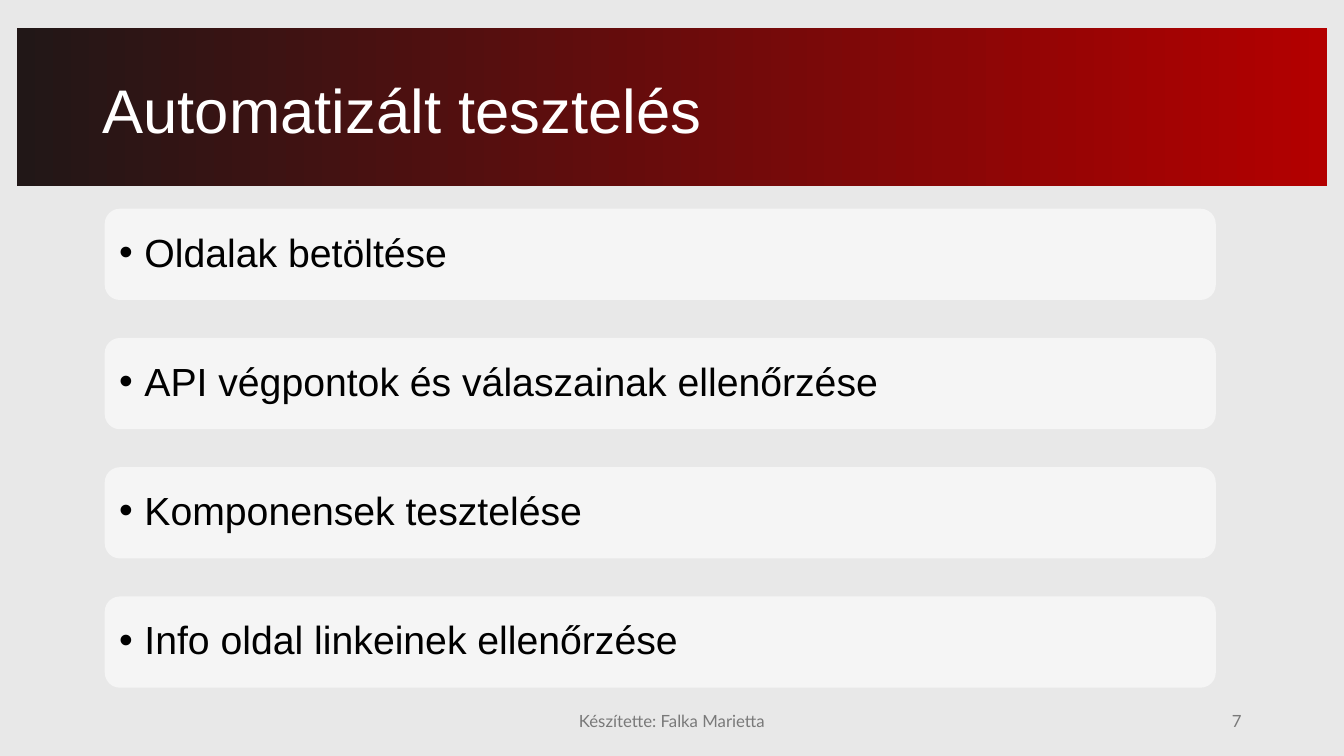
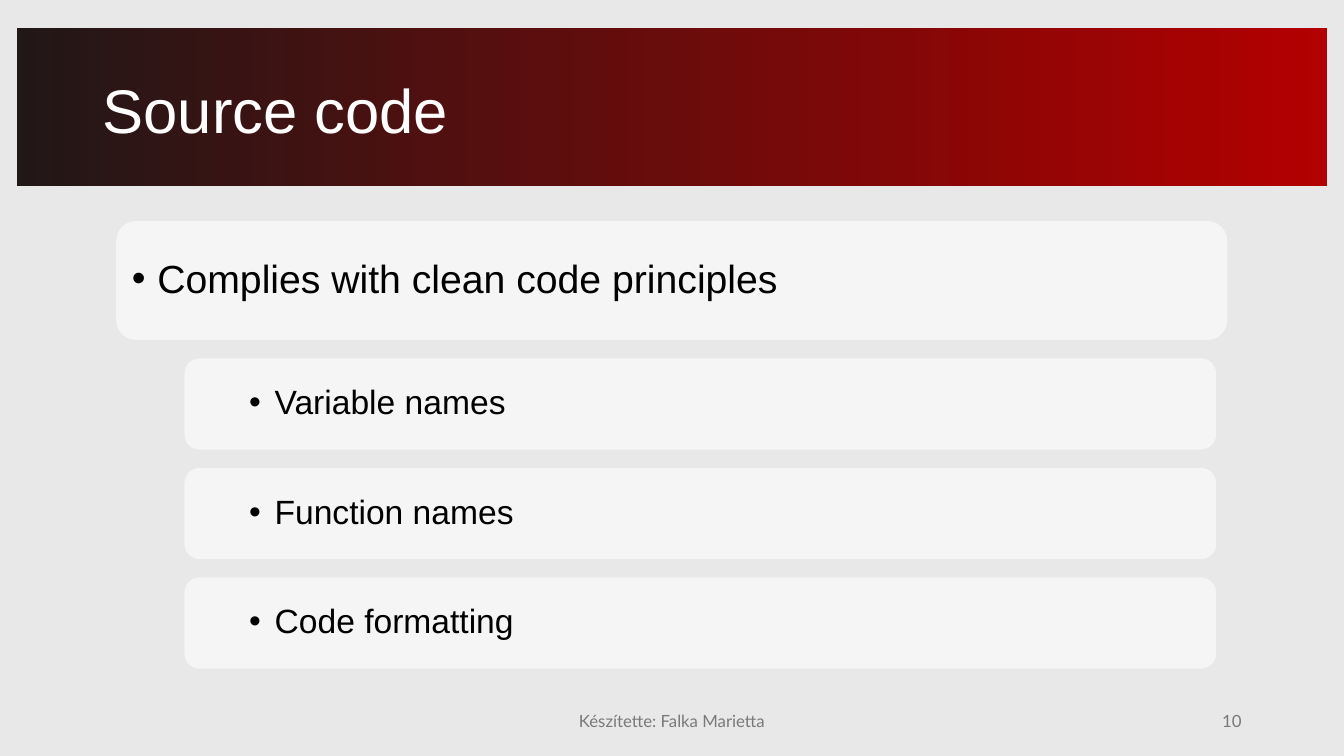
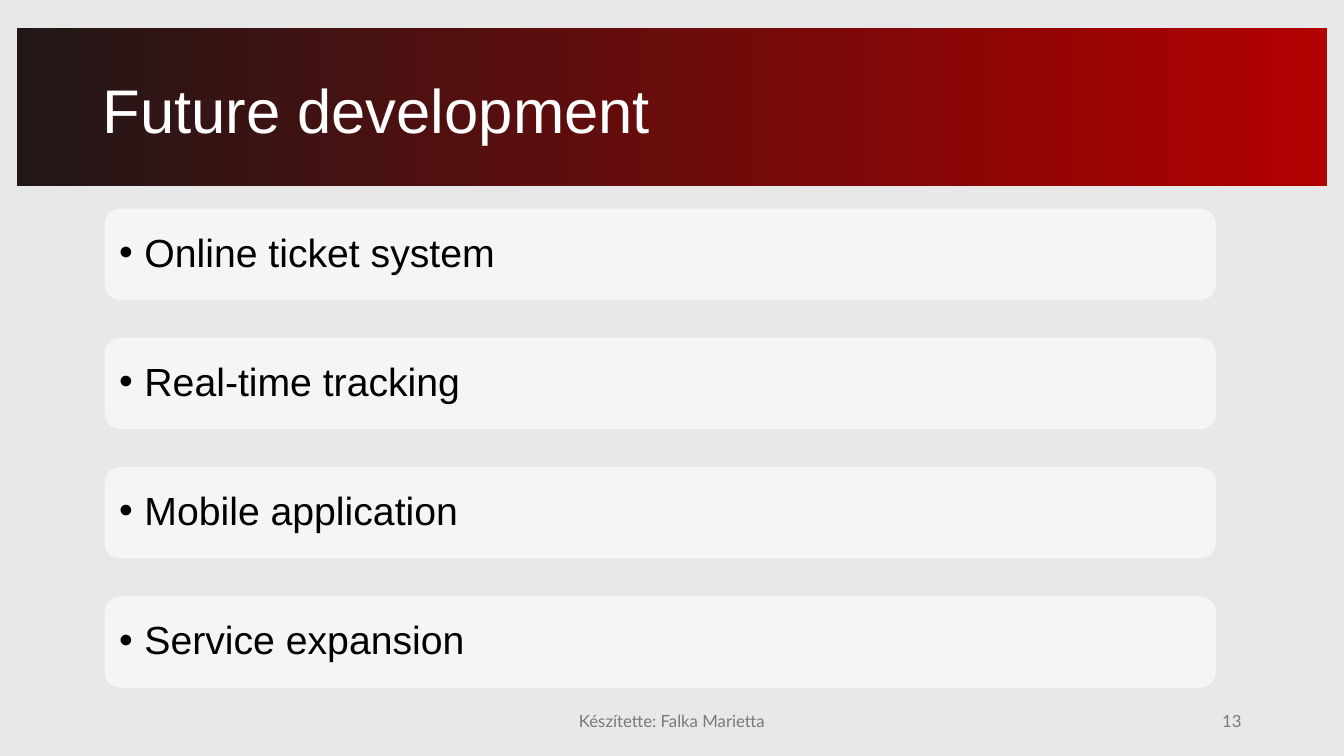
from lxml import etree
from pptx import Presentation
from pptx.dml.color import RGBColor
from pptx.enum.shapes import MSO_SHAPE
from pptx.enum.text import MSO_ANCHOR, PP_ALIGN
from pptx.oxml.ns import qn
from pptx.util import Cm, Pt

RECTANGLE = MSO_SHAPE.RECTANGLE
ROUNDED_RECTANGLE = MSO_SHAPE.ROUNDED_RECTANGLE
MIDDLE = MSO_ANCHOR.MIDDLE
LEFT, CENTER, RIGHT = PP_ALIGN.LEFT, PP_ALIGN.CENTER, PP_ALIGN.RIGHT

COLORS = {
    "background": "E8E8E8",
    "band_start": "211717",
    "band_end": "B30000",
    "title": "FFFFFF",
    "card": "F5F5F5",
    "text": "000000",
    "footer": "797979",
}
HEADING_FONT = "Arial"
FOOTER_FONT = "Lato"
AUTHOR = "Készítette: Falka Marietta"
TITLE_ONLY = 5

# Boxes are left, top, width, height in centimetres
BAND_BOX = (0.43, 0.7, 33.01, 3.98)
TITLE_BOX = (2.33, 1.02, 29.21, 3.68)
AUTHOR_BOX = (11.22, 17.65, 11.43, 1.02)
NUMBER_BOX = (23.92, 17.65, 7.62, 1.02)
LIST_BOX = (2.64, 5.26, 28, 12.07)
TOPIC_BOX = (2.93, 5.57, 28, 11.28)

CARD_HEIGHT = 2.3
TOPIC_HEIGHT = 3
TOPIC_GAP = 0.46
DETAIL_INDENT = 1.72
DETAIL_WIDTH = 26
BULLET_HANG = 0.64
LEVEL_INDENTS = (0.64, 1.91)
LEVEL_SIZES = (28, 24)
LEVEL_SPACES = (10, 5)


def color(name):
    return RGBColor.from_string(COLORS[name])


def lengths(box):
    return [Cm(value) for value in box]


def format_text(shape, size, font, color_name, alignment=LEFT):
    """Style the single paragraph of a shape and return that paragraph."""
    frame = shape.text_frame
    frame.word_wrap = True
    frame.vertical_anchor = MIDDLE
    paragraph = frame.paragraphs[0]
    paragraph.alignment = alignment
    for run in paragraph.runs:
        run.font.size = Pt(size)
        run.font.name = font
        run.font.color.rgb = color(color_name)
    return paragraph


def add_plain_shape(slide, kind, box):
    shape = slide.shapes.add_shape(kind, *lengths(box))
    shape.shadow.inherit = False
    shape.line.fill.background()
    return shape


def add_band(slide, box):
    """Draw the gradient band and send it behind the title."""
    band = add_plain_shape(slide, RECTANGLE, box)
    band.fill.gradient()
    band.fill.gradient_angle = 0
    for stop, position, name in zip(
        band.fill.gradient_stops, (0, 1), ("band_start", "band_end")
    ):
        stop.position = position
        stop.color.rgb = color(name)
    slide.shapes.title.element.addprevious(band.element)


def add_title(slide, text, box):
    title = slide.shapes.title
    title.left, title.top, title.width, title.height = lengths(box)
    title.text_frame.text = text
    format_text(title, 44, HEADING_FONT, "title").line_spacing = 0.9


def add_footer_text(slide, text, box, alignment):
    footer = slide.shapes.add_textbox(*lengths(box))
    footer.text_frame.text = text
    format_text(footer, 12, FOOTER_FONT, "footer", alignment)


def add_frame(slide, title, number):
    """Add what every slide shares: background, band, title and footer."""
    slide.background.fill.solid()
    slide.background.fill.fore_color.rgb = color("background")
    add_band(slide, BAND_BOX)
    add_title(slide, title, TITLE_BOX)
    add_footer_text(slide, AUTHOR, AUTHOR_BOX, CENTER)
    add_footer_text(slide, str(number), NUMBER_BOX, RIGHT)


def add_card(slide, text, box, level=0):
    card = add_plain_shape(slide, ROUNDED_RECTANGLE, box)
    card.fill.solid()
    card.fill.fore_color.rgb = color("card")
    card.text_frame.text = text
    paragraph = format_text(card, LEVEL_SIZES[level], HEADING_FONT, "text")
    paragraph.level = level
    paragraph.line_spacing = 0.9
    paragraph.space_before = Pt(LEVEL_SPACES[level])
    properties = paragraph._p.get_or_add_pPr()
    properties.set("marL", str(Cm(LEVEL_INDENTS[level])))
    properties.set("indent", str(-Cm(BULLET_HANG)))
    etree.SubElement(properties, qn("a:buFont")).set("typeface", HEADING_FONT)
    etree.SubElement(properties, qn("a:buChar")).set("char", "•")


def add_card_list(slide, items, box):
    """Spread equal cards over the full height of the box."""
    left, top, width, height = box
    pitch = (height - CARD_HEIGHT) / (len(items) - 1)
    for index, text in enumerate(items):
        add_card(slide, text, (left, top + index * pitch, width, CARD_HEIGHT))


def add_topic_cards(slide, items, box):
    """Place a wide topic card with its indented details below."""
    left, top, width, _ = box
    topic, *details = items
    add_card(slide, topic, (left, top, width, TOPIC_HEIGHT))
    top += TOPIC_HEIGHT + TOPIC_GAP
    for text in details:
        detail_box = (left + DETAIL_INDENT, top, DETAIL_WIDTH, CARD_HEIGHT)
        add_card(slide, text, detail_box, level=1)
        top += CARD_HEIGHT + TOPIC_GAP


SLIDES = [
    ("Automatizált tesztelés", 7, add_card_list, LIST_BOX, [
        "Oldalak betöltése",
        "API végpontok és válaszainak ellenőrzése",
        "Komponensek tesztelése",
        "Info oldal linkeinek ellenőrzése",
    ]),
    ("Source code", 10, add_topic_cards, TOPIC_BOX, [
        "Complies with clean code principles",
        "Variable names",
        "Function names",
        "Code formatting",
    ]),
    ("Future development", 13, add_card_list, LIST_BOX, [
        "Online ticket system",
        "Real-time tracking",
        "Mobile application",
        "Service expansion",
    ]),
]


def main():
    presentation = Presentation()
    presentation.slide_width = Cm(33.87)
    presentation.slide_height = Cm(19.05)
    layout = presentation.slide_layouts[TITLE_ONLY]
    for title, number, add_body, box, items in SLIDES:
        slide = presentation.slides.add_slide(layout)
        add_frame(slide, title, number)
        add_body(slide, items, box)
    presentation.save("out.pptx")


if __name__ == "__main__":
    main()
